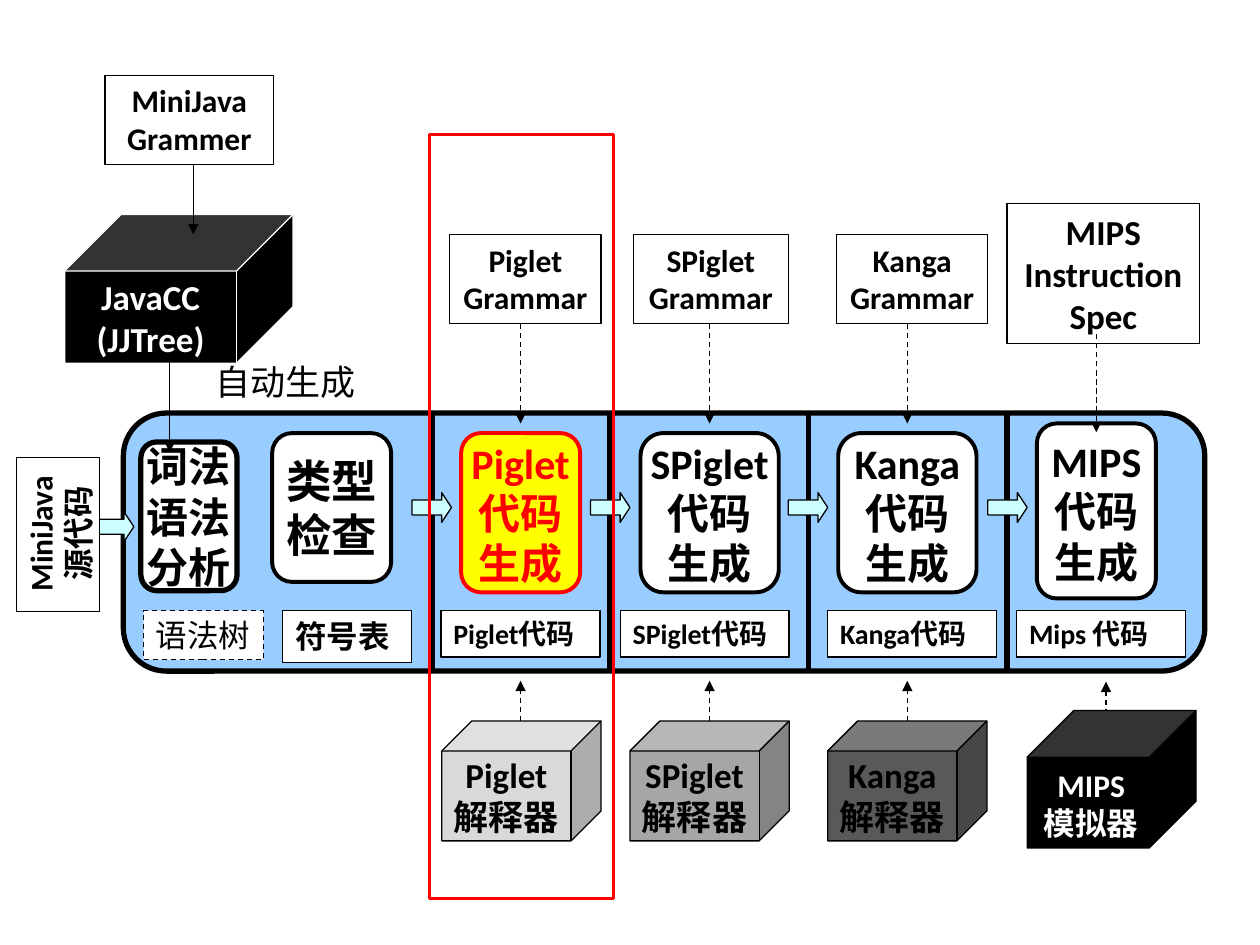
"""Build the MiniJava compiler pipeline slide."""
from lxml import etree
from pptx import Presentation
from pptx.dml.color import RGBColor
from pptx.enum.dml import MSO_LINE
from pptx.enum.shapes import MSO_CONNECTOR, MSO_SHAPE
from pptx.enum.text import MSO_ANCHOR, MSO_AUTO_SIZE, PP_ALIGN
from pptx.oxml.ns import qn
from pptx.util import Pt

RECTANGLE = MSO_SHAPE.RECTANGLE
ROUNDED = MSO_SHAPE.FLOWCHART_ALTERNATE_PROCESS
CUBE = MSO_SHAPE.CUBE
BLOCK_ARROW = MSO_SHAPE.RIGHT_ARROW
STRAIGHT = MSO_CONNECTOR.STRAIGHT
DASH = MSO_LINE.DASH
LEFT, CENTER = PP_ALIGN.LEFT, PP_ALIGN.CENTER
TOP, MIDDLE = MSO_ANCHOR.TOP, MSO_ANCHOR.MIDDLE
FIT, FIXED = MSO_AUTO_SIZE.SHAPE_TO_FIT_TEXT, MSO_AUTO_SIZE.NONE
BLACK, WHITE, RED = "000000", "FFFFFF", "FF0000"

presentation = Presentation()
presentation.slide_width = Pt(720)
presentation.slide_height = Pt(540)
slide = presentation.slides.add_slide(presentation.slide_layouts[6])


def add_box(kind, box, text="", size=18, fill=None, line=BLACK, weight=0.75, color=BLACK,
            bold=True, align=CENTER, anchor=MIDDLE, wrap=False):
    """Add a preset shape, or a text box when kind is None."""
    lengths = [Pt(length) for length in box]
    if kind is None:
        shape = slide.shapes.add_textbox(*lengths)
    else:
        shape = slide.shapes.add_shape(kind, *lengths)
        shape.shadow.inherit = False
        if fill:
            shape.fill.solid()
            shape.fill.fore_color.rgb = RGBColor.from_string(fill)
        else:
            shape.fill.background()
        shape.line.color.rgb = RGBColor.from_string(line)
        shape.line.width = Pt(weight)
    if text:
        frame = shape.text_frame
        frame.text = text
        frame.word_wrap = wrap
        frame.vertical_anchor = anchor
        frame.auto_size = FIT if anchor == TOP else FIXED
        for paragraph in frame.paragraphs:
            paragraph.alignment = align
            for run in paragraph.runs:
                run.font.name = "Calibri"
                run.font.size = Pt(size)
                run.font.bold = bold
                run.font.color.rgb = RGBColor.from_string(color)
    return shape


def add_line(x, start, end, weight=0.75, dashed=False, arrow=True):
    """Add a vertical line, with an arrowhead at its end by default."""
    connector = slide.shapes.add_connector(STRAIGHT, Pt(x), Pt(start), Pt(x), Pt(end))
    connector.line.color.rgb = RGBColor.from_string(BLACK)
    connector.line.width = Pt(weight)
    if dashed:
        connector.line.dash_style = DASH
    properties = connector._element.spPr
    if arrow:
        etree.SubElement(properties.find(qn("a:ln")), qn("a:tailEnd"), type="triangle")
    etree.SubElement(properties, qn("a:effectLst"))


add_box(ROUNDED, (70.5, 236, 618, 147.5), fill="99CCFF", weight=3)
for x in (247, 348.5, 462, 575.5):
    add_line(x, 236, 383, weight=3, arrow=False)

for x, y in ((54, 292.5), (235.5, 281.5), (337.5, 281.5), (450.5, 281.5), (564.5, 281.5)):
    block_arrow = add_box(BLOCK_ARROW, (x, y, 22.5, 17), fill="CCFFFF")
    block_arrow.adjustments[1] = 0.33

stages = [
    ((80.5, 252.5, 55, 85), "词法\n语法\n分析", 24, WHITE, BLACK, 3),
    ((155.5, 247.5, 68, 85), "类型\n检查", 26, WHITE, BLACK, 2.25),
    ((263.5, 247.5, 68, 91), "Piglet\n代码\n生成", 24, "FFFF00", RED, 2.25),
    ((366, 247.5, 79, 91), "SPiglet\n代码\n生成", 24, WHITE, BLACK, 2.25),
    ((479, 247.5, 79, 91), "Kanga\n代码\n生成", 24, WHITE, BLACK, 2.25),
    ((592.5, 242, 68, 100), "MIPS\n代码\n生成", 24, WHITE, BLACK, 2.25),
]
for box, text, size, fill, color, weight in stages:
    add_box(ROUNDED, box, text, size, fill, color, weight, color)

syntax_tree = add_box(RECTANGLE, (82, 349, 68.5, 28), "语法树", fill=WHITE, bold=False, align=LEFT)
syntax_tree.line.dash_style = DASH
outputs = [
    (161.5, 73.5, 29.5, "符号表", 18),
    (252, 91, 26.5, "Piglet代码", 16),
    (354.5, 96.5, 26.5, "SPiglet代码", 16),
    (473, 96.5, 26.5, "Kanga代码", 16),
    (581, 96.5, 26.5, "Mips 代码", 16),
]
for x, width, height, text, size in outputs:
    add_box(RECTANGLE, (x, 349, width, height), text, size, WHITE,
            align=LEFT, anchor=TOP, wrap=True)

grammars = [
    ((257, 134, 86.5, 51), "Piglet\nGrammar", 18, 297.5, 185, 242),
    ((362, 134, 88.5, 51), "SPiglet\nGrammar", 18, 405.5, 185, 242),
    ((478, 134, 86.5, 51), "Kanga\nGrammar", 18, 518.5, 185, 242),
    ((575.5, 116.5, 110, 80), "MIPS\nInstruction\nSpec", 20, 626.5, 191, 247),
]
for box, text, size, x, start, end in grammars:
    add_box(RECTANGLE, box, text, size, anchor=TOP)
    add_line(x, start, end, dashed=True)

interpreters = [
    (252.5, 297.5, "Piglet\n解释器", "D9D9D9"),
    (360, 405.5, "SPiglet\n解释器", "A6A6A6"),
    (473, 518.5, "Kanga\n解释器", "595959"),
]
for left, x, text, fill in interpreters:
    interpreter = add_box(CUBE, (left, 412, 91, 68.5), text, 20, fill)
    interpreter.adjustments[0] = 0.25
    add_line(x, 412, 389, dashed=True)

add_line(632, 423.5, 389.5, dashed=True)
simulator = add_box(CUBE, (587, 406, 96.5, 78.5), fill=BLACK)
simulator.adjustments[0] = 0.34
add_box(None, (581, 434, 85, 51), "MIPS\n模拟器", color=WHITE, anchor=TOP, wrap=True)

add_box(RECTANGLE, (60, 43, 96.5, 51), "MiniJava Grammer", anchor=TOP, wrap=True)
parser_generator = add_box(CUBE, (37, 122.5, 130.5, 85), "JavaCC\n(JJTree)", 20,
                           BLACK, WHITE, color=WHITE)
parser_generator.adjustments[0] = 0.38
add_line(110.5, 94, 134)
add_line(97, 202.5, 258.5)
add_box(None, (116, 202.5, 94.5, 31), "自动生成", 20, bold=False, align=LEFT, anchor=TOP)

add_box(RECTANGLE, (9.5, 261.5, 47.5, 88), fill=WHITE)
source_code = add_box(None, (-33, 279.5, 134, 51), "MiniJava\n源代码", anchor=TOP, wrap=True)
source_code.rotation = 270

add_box(RECTANGLE, (245.5, 77, 105, 436.5), line=RED, weight=2)

presentation.save("out.pptx")
